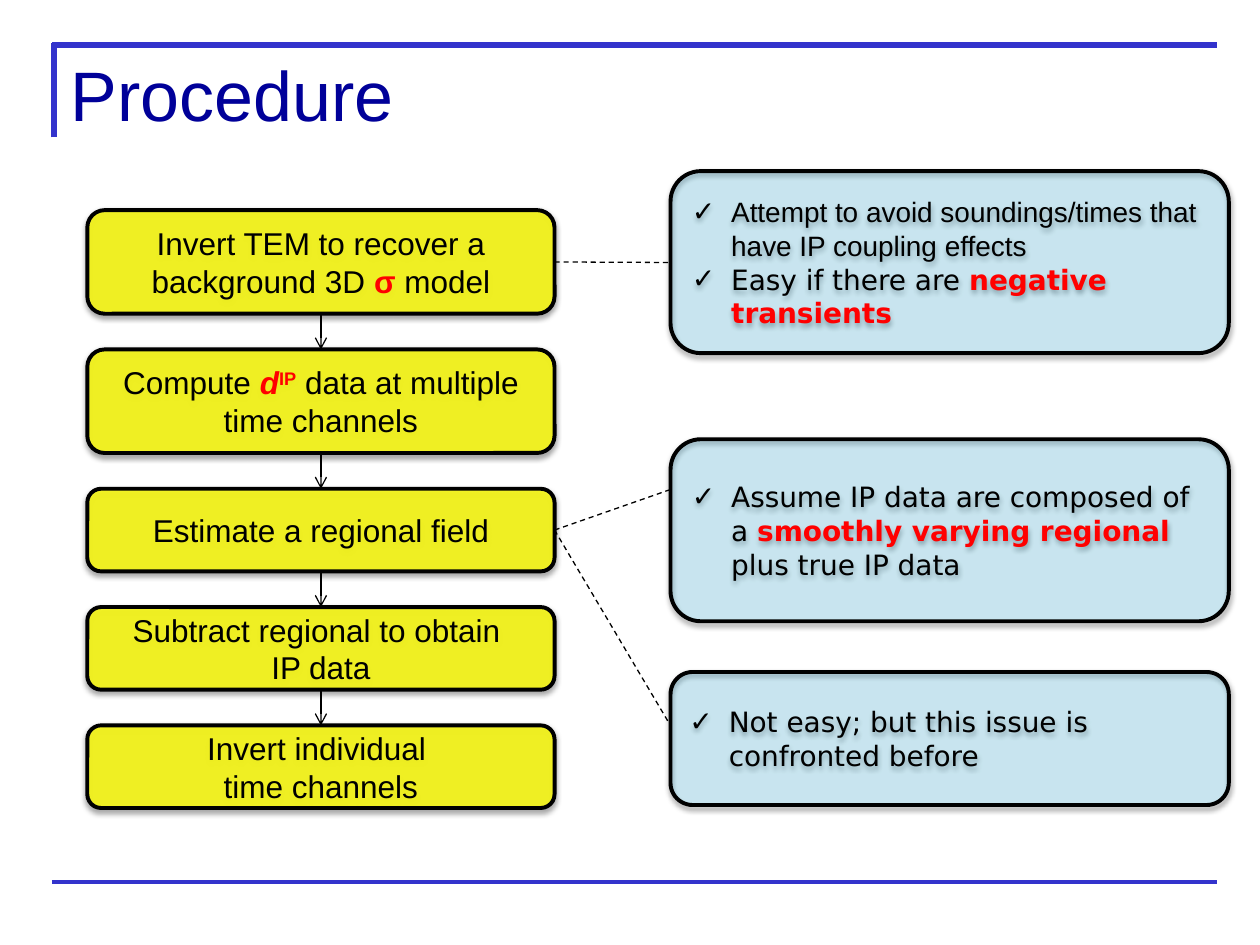
import pptx
import pptx.dml.color
import pptx.enum.dml
import pptx.enum.shapes
import pptx.enum.text
import pptx.oxml
import pptx.oxml.ns
import pptx.util

Pt = pptx.util.Pt
ALIGN = pptx.enum.text.PP_ALIGN
ANCHOR = pptx.enum.text.MSO_ANCHOR
NAMESPACE = pptx.oxml.ns.nsdecls("a")

COLOURS = {
    "rule": "3333CC",
    "title": "000099",
    "ink": "000000",
    "accent": "FF0000",
    "step": "FFFF00",
    "note": "00B0F0",
}
STYLES = {
    "step": {"name": "Arial", "size": Pt(18)},
    "symbol": {"name": "Arial", "size": Pt(18), "bold": True},
    "variable": {"name": "Arial", "size": Pt(18), "bold": True, "italic": True},
    "superscript": {"name": "Arial", "size": Pt(18), "bold": True},
    "plain": {"name": "Arial", "size": Pt(16)},
    "note": {"name": "DejaVu Sans", "size": Pt(16)},
    "strong": {"name": "DejaVu Sans", "size": Pt(16), "bold": True},
    "title": {"name": "Arial", "size": Pt(40)},
}
ACCENTED = {"symbol", "variable", "superscript", "strong"}

STEP_LEFT, STEP_WIDTH, STEP_TOP, STEP_GAP = 49.9, 267, 120.1, 20.4
NOTE_LEFT, NOTE_WIDTH = 383.2, 319
STEPS = [
    (59.2, [[("Invert TEM to recover a background 3D ", "step"),
             ("σ ", "symbol"), ("model", "step")]]),
    (59.2, [[("Compute ", "step"), ("d", "variable"), ("IP", "superscript"),
             (" data at multiple time channels", "step")]]),
    (47.2, [[("Estimate a regional field", "step")]]),
    (47.2, [[("Subtract regional to obtain ", "step")], [("IP data", "step")]]),
    (47.2, [[("Invert individual ", "step")], [("time channels", "step")]]),
]
NOTES = [
    (97.8, 104, [[("Attempt to avoid soundings/times that have IP coupling effects", "plain")],
                 [("Easy if there are ", "note"), ("negative transients", "strong")]]),
    (251, 104, [[("Assume IP data are composed of a ", "note"),
                 ("smoothly varying regional ", "strong"), ("plus true IP data", "note")]]),
    (384, 76, [[("Not easy; but this issue is confronted before", "note")]]),
]
LINKS = [(0, 150), (2, 279.7), (2, 414.7)]


def colour(name):
    return pptx.dml.color.RGBColor.from_string(COLOURS[name])


def add_xml(parent, markup):
    tag, rest = markup.split(" ", 1)
    parent.append(pptx.oxml.parse_xml(f"{tag} {NAMESPACE} {rest}"))


def format_span(span, style, tint):
    for key, value in STYLES[style].items():
        setattr(span.font, key, value)
    span.font.color.rgb = colour(tint)
    if style == "superscript":
        span.font._element.set("baseline", "30000")


def add_check(para):
    properties = para._p.get_or_add_pPr()
    properties.set("marL", str(Pt(22.5)))
    properties.set("indent", str(-Pt(22.5)))
    add_xml(properties, '<a:buFont typeface="DejaVu Sans"/>')
    add_xml(properties, '<a:buChar char="✓"/>')


def add_box(page, left, top, width, height, kind, opacity, paragraphs):
    box = page.shapes.add_shape(
        pptx.enum.shapes.MSO_SHAPE.ROUNDED_RECTANGLE,
        Pt(left), Pt(top), Pt(width), Pt(height))
    box.fill.solid()
    box.fill.fore_color.rgb = colour(kind)
    fill = box._element.spPr.find(pptx.oxml.ns.qn("a:solidFill"))
    add_xml(fill[0], f'<a:alpha val="{opacity * 1000}"/>')
    box.line.color.rgb = colour("ink")
    box.line.width = Pt(2.25)
    box.shadow.inherit = False
    effects = box._element.spPr.find(pptx.oxml.ns.qn("a:effectLst"))
    add_xml(effects, f'<a:outerShdw blurRad="{Pt(3.1)}" dist="{Pt(1.6)}" dir="5400000" '
                     f'rotWithShape="0"><a:srgbClr val="{COLOURS["ink"]}">'
                     '<a:alpha val="38000"/></a:srgbClr></a:outerShdw>')
    frame = box.text_frame
    frame.word_wrap = True
    frame.vertical_anchor = ANCHOR.MIDDLE
    for index, spans in enumerate(paragraphs):
        para = frame.add_paragraph() if index else frame.paragraphs[0]
        para.alignment = ALIGN.CENTER if kind == "step" else ALIGN.LEFT
        if kind == "note":
            add_check(para)
        for text, style in spans:
            span = para.add_run()
            span.text = text
            format_span(span, style, "accent" if style in ACCENTED else "ink")


def add_line(page, start, end, tint="ink", width=0.75, dashed=False, arrow=False):
    line = page.shapes.add_connector(
        pptx.enum.shapes.MSO_CONNECTOR.STRAIGHT, *map(Pt, start + end))
    line.line.color.rgb = colour(tint)
    line.line.width = Pt(width)
    if dashed:
        line.line.dash_style = pptx.enum.dml.MSO_LINE.DASH
    if arrow:
        add_xml(line.line._get_or_add_ln(), '<a:tailEnd type="arrow"/>')
    add_xml(line._element.spPr, "<a:effectLst />")


def add_title(page, text):
    title = page.shapes.title
    places = {"left": 33.1, "top": 26.6, "width": 651, "height": 54}
    for key, value in places.items():
        setattr(title, key, Pt(value))
    title.text_frame.vertical_anchor = ANCHOR.MIDDLE
    para = title.text_frame.paragraphs[0]
    para.alignment = ALIGN.LEFT
    span = para.add_run()
    span.text = text
    format_span(span, "title", "title")


def add_steps(page):
    centre = STEP_LEFT + STEP_WIDTH / 2
    top = STEP_TOP
    middles = []
    for index, (height, paragraphs) in enumerate(STEPS):
        add_box(page, STEP_LEFT, top, STEP_WIDTH, height, "step", 80, paragraphs)
        if index:
            add_line(page, (centre, top - STEP_GAP), (centre, top), arrow=True)
        middles.append(top + height / 2)
        top += height + STEP_GAP
    return middles


def main():
    deck = pptx.Presentation()
    deck.slide_width, deck.slide_height = Pt(720), Pt(540)
    page = deck.slides.add_slide(deck.slide_layouts[5])
    add_line(page, (31, 78.5), (31, 24.5), "rule", 3.5)
    add_line(page, (30, 25.9), (695.5, 25.9), "rule", 3.5)
    add_line(page, (29.7, 504), (695.5, 504), "rule", 2.25)
    add_title(page, "Procedure")
    middles = add_steps(page)
    for step, height in LINKS:
        add_line(page, (STEP_LEFT + STEP_WIDTH, middles[step]), (NOTE_LEFT, height), dashed=True)
    for top, height, paragraphs in NOTES:
        add_box(page, NOTE_LEFT, top, NOTE_WIDTH, height, "note", 16, paragraphs)
    deck.save("out.pptx")


if __name__ == "__main__":
    main()
